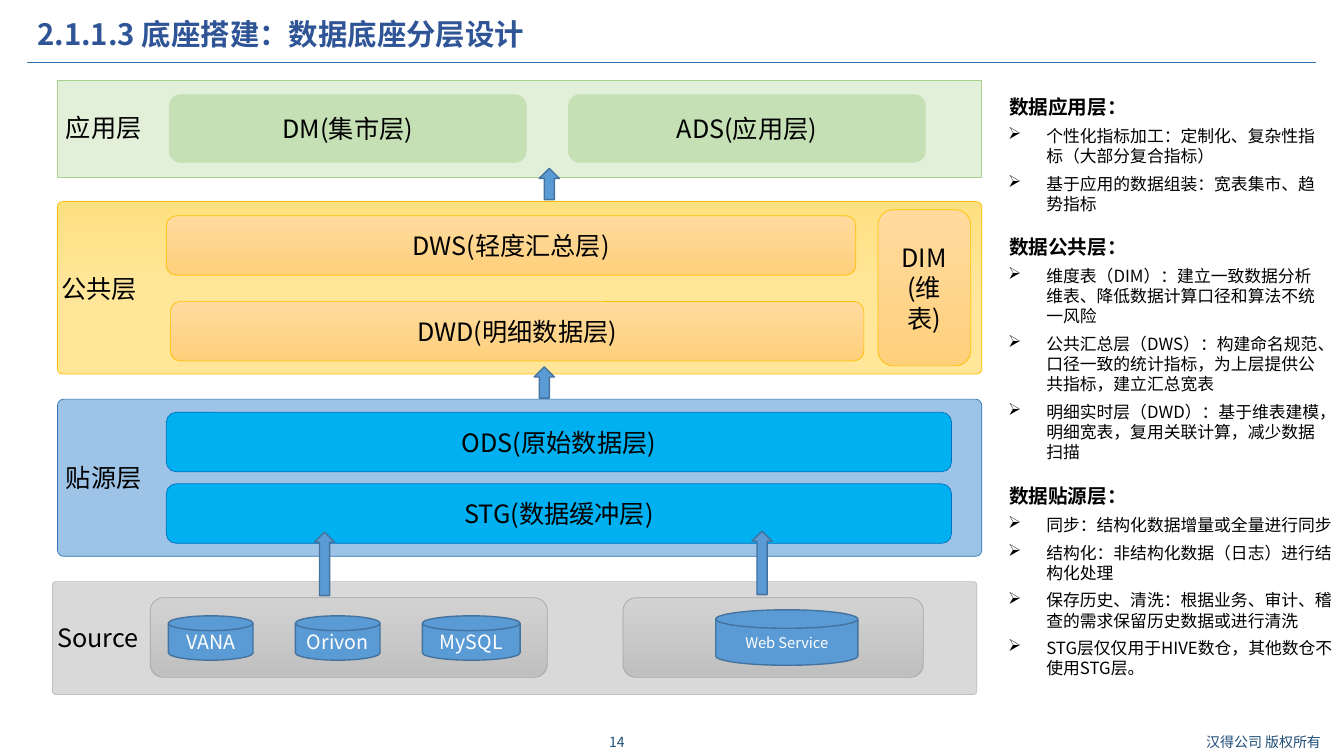
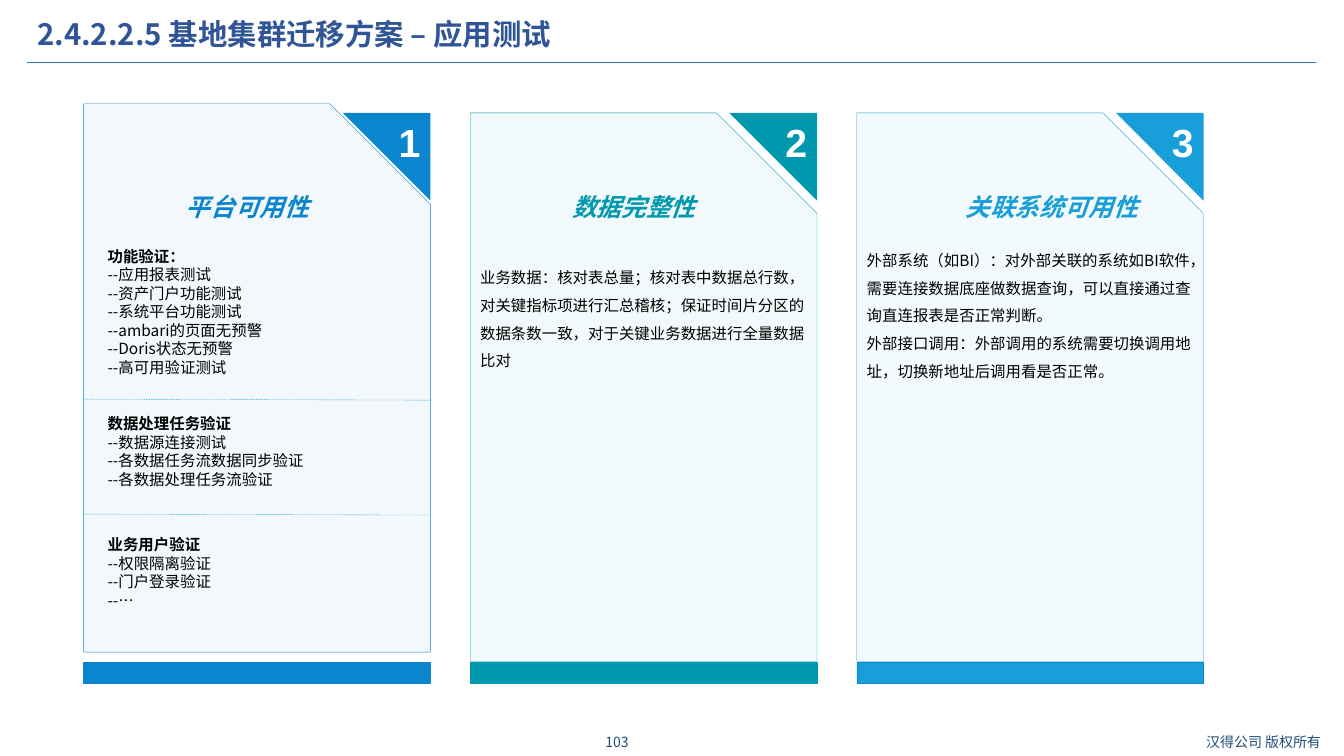
from dataclasses import dataclass

from lxml import etree
from pptx import Presentation
from pptx import util as u
from pptx.dml.color import RGBColor
from pptx.enum import dml, shapes, text
from pptx.oxml import ns

SHAPE = shapes.MSO_SHAPE
ALIGN = text.PP_ALIGN
ANCHOR = text.MSO_ANCHOR


@dataclass(frozen=True)
class Theme:
    font: str = "Noto Sans CJK SC"
    number_font: str = "Arial"
    title: str = "2F5597"
    footer: str = "1F4E79"
    rule: str = "2E75B6"
    ink: str = "000000"
    white: str = "FFFFFF"
    accent: str = "5B9BD5"
    accent_edge: str = "43739E"
    app: str = "E2F0D9"
    app_edge: str = "A9D18E"
    app_tile: str = "C5E0B4"
    common: tuple = ("FFE080", "FFE699", 0.5)
    common_tile: tuple = ("FFDB9E", "FFD07C", 1)
    common_edge: str = "FFC000"
    origin: str = "9DC3E6"
    origin_tile: str = "00B0F0"
    origin_edge: str = "0070C0"
    source: str = "D9D9D9"
    source_edge: str = "BFBFBF"
    source_tile: tuple = ("D2D2D2", "C0C0C0", 1)
    source_tile_edge: str = "A5A5A5"
    blue: str = "0C85CF"
    teal: str = "0098AD"
    sky: str = "189ED9"
    title_size: float = 21
    label_size: float = 18
    card_title_size: float = 17.6
    heading_size: float = 14
    note_size: float = 12
    body_size: float = 11
    small_size: float = 10.5
    footer_size: float = 10
    number_size: float = 28


THEME = Theme()
COLUMNS, ROWS = 133.33, 75
WIDTH, HEIGHT = u.Inches(13.33), u.Inches(7.5)


def col(count):
    return int(WIDTH * count / COLUMNS)


def row(count):
    return int(HEIGHT * count / ROWS)


def place(left, top, width, height):
    return col(left), row(top), col(width), row(height)


def apply(target, values):
    for name, value in values.items():
        setattr(target, name, value)


def add_xml(parent, tag, **values):
    return etree.SubElement(parent, ns.qn(tag), values)


def write(frame, lines, para_format=None, **common):
    for index, line in enumerate(lines):
        words, changes = line if isinstance(line, tuple) else (line, {})
        style = {"size": THEME.body_size, "color": THEME.ink,
                 "name": THEME.font, **common, **changes}
        para = frame.paragraphs[0] if index == 0 else frame.add_paragraph()
        indent = style.pop("indent", None)
        if indent:
            props = para._p.get_or_add_pPr()
            apply_indent = {"marL": col(indent[0]), "indent": col(indent[1])}
            for name, value in apply_indent.items():
                props.set(name, str(value))
        bullet = style.pop("bullet", None)
        if bullet:
            add_xml(add_xml(props, "a:buClr"), "a:srgbClr", val=style["color"])
            add_xml(props, "a:buChar", char=bullet)
        space = style.pop("space", None)
        if space and index:
            para.space_before = u.Pt(space)
        apply(para, para_format or {})
        span = para.add_run()
        span.text = words
        span.font.color.rgb = RGBColor.from_string(style.pop("color"))
        style["size"] = u.Pt(style["size"])
        apply(span.font, style)
        add_xml(span._r.get_or_add_rPr(), "a:ea", typeface=style["name"])


def add_text(page, area, lines, para_format=None, frame_format=None, **style):
    frame = page.shapes.add_textbox(*place(*area)).text_frame
    apply(frame, {"word_wrap": True, **(frame_format or {})})
    write(frame, lines, para_format, **style)


def paint(shape, fill, edge=None, weight=0.5, alpha=None):
    shape.shadow.inherit = False
    if isinstance(fill, tuple):
        shape.fill.gradient()
        shape.fill.gradient_angle = 270
        for stop, color, position in zip(shape.fill.gradient_stops, fill, (0, fill[2])):
            stop.color.rgb = RGBColor.from_string(color)
            stop.position = position
    else:
        shape.fill.solid()
        shape.fill.fore_color.rgb = RGBColor.from_string(fill)
    if alpha:
        color = shape._element.spPr.find(ns.qn("a:solidFill")).find(ns.qn("a:srgbClr"))
        add_xml(color, "a:alpha", val=str(alpha * 1000))
    if edge:
        shape.line.color.rgb = RGBColor.from_string(edge)
        shape.line.width = u.Pt(weight)
    else:
        shape.line.fill.background()


def add_box(page, kind, area, fill, edge, lines=(), adjust=None, weight=0.5,
            alpha=None, wrap=True, **style):
    box = page.shapes.add_shape(kind, *place(*area))
    paint(box, fill, edge, weight, alpha)
    if adjust is not None:
        box.adjustments[0] = adjust
    apply(box.text_frame, {"word_wrap": wrap, "vertical_anchor": ANCHOR.MIDDLE})
    write(box.text_frame, lines, {"alignment": ALIGN.CENTER}, **style)


def add_tile(page, area, fill, edge, *lines):
    add_box(page, SHAPE.ROUNDED_RECTANGLE, area, fill, edge, lines,
            size=THEME.label_size)


def add_layer(page, area, fill, edge, adjust, label, label_at):
    add_box(page, SHAPE.ROUNDED_RECTANGLE, area, fill, edge, adjust=adjust)
    add_text(page, (*label_at, 14, 4), [label], size=THEME.label_size)


def add_disk(page, area, label, size):
    add_box(page, SHAPE.FLOWCHART_MAGNETIC_DISK, area, THEME.accent,
            THEME.accent_edge, [label], weight=1, wrap=False,
            size=size, color=THEME.white)


def add_line(page, start, end, color, weight, dash=None):
    line = page.shapes.add_connector(
        shapes.MSO_CONNECTOR.STRAIGHT, col(start[0]), row(start[1]),
        col(end[0]), row(end[1]))
    line.line.color.rgb = RGBColor.from_string(color)
    apply(line.line, {"width": u.Pt(weight), "dash_style": dash})
    add_xml(line._element.spPr, "a:effectLst")


def add_page(deck, title, number):
    page = deck.slides.add_slide(deck.slide_layouts[6])
    add_line(page, (2.7, 6.2), (130.6, 6.2), THEME.rule, 0.75)
    add_text(page, (2.7, 1.5, 115.7, 4.2), [title], {"line_spacing": 0.9},
             size=THEME.title_size, color=THEME.title, bold=True)
    for left, width, words in ((57.7, 7, number), (117.4, 15.9, "汉得公司 版权所有")):
        add_text(page, (left, 72.3, width, 2.7), [words],
                 {"alignment": ALIGN.CENTER}, {"vertical_anchor": ANCHOR.MIDDLE},
                 size=THEME.footer_size, color=THEME.footer)
    return page


def add_notes_column(page, top, width, height, heading, points):
    lines = [(heading, {"size": THEME.heading_size, "bold": True, "indent": (0.2, 0)})]
    lines += [(point, {"indent": (3.9, -3.8), "bullet": "➢"}) for point in points]
    margins = dict.fromkeys(
        ("margin_left", "margin_top", "margin_right", "margin_bottom"), 0)
    add_text(page, (99.9, top, width, height), lines, frame_format=margins,
             size=THEME.note_size, space=5.3)


def build_layers(deck):
    page = add_page(deck, "2.1.1.3 底座搭建：数据底座分层设计", "14")
    t = THEME
    add_layer(page, (5.7, 8, 91.7, 9.6), t.app, t.app_edge, 0, "应用层", (5.55, 10.7))
    for left, label in ((16.8, "DM(集市层)"), (56.4, "ADS(应用层)")):
        add_tile(page, (left, 9.4, 35.4, 6.7), t.app_tile, t.app_tile, label)

    add_layer(page, (5.2, 57.7, 91.7, 11.2), t.source, t.source_edge, 0.03,
              "Source", (4.7, 61.2))
    for left, width in ((14.9, 39.4), (61.8, 29.8)):
        add_tile(page, (left, 59.3, width, 7.9), t.source_tile, t.source_tile_edge)
    for index, (label, width) in enumerate((("VANA", 8.4), ("Orivon", 8.4), ("MySQL", 9.7))):
        add_disk(page, (16.7 + 12.6 * index, 61.1, width, 4.4), label, t.heading_size)
    add_disk(page, (71, 60.5, 14.1, 5.5), "Web Service", t.small_size)

    add_layer(page, (5.7, 20, 91.7, 17.1), t.common, t.common_edge, 0.03,
              "公共层", (5.1, 26.6))
    for area, lines in (
            ((16.9, 29.9, 68.8, 5.9), ["DWD(明细数据层)"]),
            ((87.1, 20.8, 9.2, 15.5), ["DIM", "(维表)"]),
            ((16.5, 21.4, 68.4, 5.9), ["DWS(轻度汇总层)"])):
        add_tile(page, area, t.common_tile, t.common_edge, *lines)

    add_layer(page, (5.7, 39.6, 91.7, 15.6), t.origin, t.rule, 0.04,
              "贴源层", (5.55, 45.4))
    for top, label in ((40.9, "ODS(原始数据层)"), (48, "STG(数据缓冲层)")):
        add_tile(page, (16.5, top, 77.9, 5.9), t.origin_tile, t.origin_edge, label)

    for left, top, height in ((53.5, 16.7, 3.1), (53, 36.4, 3.1),
                              (31.2, 52.8, 6.3), (74.6, 52.7, 6.3)):
        add_box(page, SHAPE.UP_ARROW, (left, top, 2, height), t.accent,
                t.accent_edge, weight=1)

    add_notes_column(page, 9.4, 31.5, 11.8, "数据应用层：", [
        "个性化指标加工：定制化、复杂性指标（大部分复合指标）",
        "基于应用的数据组装：宽表集市、趋势指标"])
    add_notes_column(page, 23.3, 31.5, 22.6, "数据公共层：", [
        "维度表（DIM）：建立一致数据分析维表、降低数据计算口径和算法不统一风险",
        "公共汇总层（DWS）：构建命名规范、口径一致的统计指标，为上层提供公共指标，建立汇总宽表",
        "明细实时层（DWD）：基于维表建模，明细宽表，复用关联计算，减少数据扫描"])
    add_notes_column(page, 48, 32.6, 19.5, "数据贴源层：", [
        "同步：结构化数据增量或全量进行同步",
        "结构化：非结构化数据（日志）进行结构化处理",
        "保存历史、清洗：根据业务、审计、稽查的需求保留历史数据或进行清洗",
        "STG层仅仅用于HIVE数仓，其他数仓不使用STG层。"])


CARD_LEFT, CARD_STEP, CARD_WIDTH, CARD_TOP = 8.3, 38.35, 34.4, 11.2
CORNER = 8.7


def add_card(page, index, title, color, edge, top, title_shift):
    left = CARD_LEFT + CARD_STEP * index
    right = left + CARD_WIDTH
    add_box(page, SHAPE.SNIP_1_RECTANGLE, (left, top, CARD_WIDTH, 54.4), color, color,
            adjust=0.29, weight=0.25, alpha=5)
    add_box(page, SHAPE.RECTANGLE, (left, 65.7, CARD_WIDTH, 2.1), color, edge, weight=0.25)
    outline = page.shapes.build_freeform(col(right), row(CARD_TOP))
    outline.add_line_segments([(col(right - CORNER), row(CARD_TOP)),
                               (col(right), row(CARD_TOP + CORNER))], close=True)
    corner = outline.convert_to_shape()
    paint(corner, color)
    corner.text_frame.vertical_anchor = ANCHOR.TOP
    write(corner.text_frame, [str(index + 1)], {"alignment": ALIGN.RIGHT},
          size=THEME.number_size, color=THEME.white, name=THEME.number_font, bold=True)
    add_text(page, (left + title_shift, 18.3, 24.1, 4.5), [title],
             {"alignment": ALIGN.CENTER}, {"vertical_anchor": ANCHOR.MIDDLE},
             size=THEME.card_title_size, color=color, bold=True, italic=True)


def build_tests(deck):
    page = add_page(deck, "2.4.2.2.5 基地集群迁移方案 – 应用测试", "103")
    cards = (("平台可用性", THEME.blue, THEME.blue, 10.3, 4.2),
             ("数据完整性", THEME.teal, THEME.teal, CARD_TOP, 4.2),
             ("关联系统可用性", THEME.sky, THEME.blue, CARD_TOP, 7.3))
    for index, card in enumerate(cards):
        add_card(page, index, *card)

    for top, heading, checks in (
            (24, "功能验证：", ["--应用报表测试", "--资产门户功能测试", "--系统平台功能测试",
                            "--ambari的页面无预警", "--Doris状态无预警", "--高可用验证测试"]),
            (40.6, "数据处理任务验证", ["--数据源连接测试", "--各数据任务流数据同步验证",
                                "--各数据处理任务流验证"]),
            (52.6, "业务用户验证", ["--权限隔离验证", "--门户登录验证", "--…"])):
        add_text(page, (9.7, top, 32, 1.8 * len(checks) + 2.8),
                 [(heading, {"bold": True}), *checks])
    for top in (39.6, 51):
        add_line(page, (CARD_LEFT, top), (CARD_LEFT + CARD_WIDTH, top + 0.1),
                 THEME.sky, 0.25, dml.MSO_LINE.DASH)

    for index, top, lines in (
            (1, 25.2, ["业务数据：核对表总量；核对表中数据总行数，对关键指标项进行汇总稽核；"
                       "保证时间片分区的数据条数一致，对于关键业务数据进行全量数据比对"]),
            (2, 23.5, ["外部系统（如BI）：对外部关联的系统如BI软件，需要连接数据底座做数据查询，"
                       "可以直接通过查询直连报表是否正常判断。",
                       "外部接口调用：外部调用的系统需要切换调用地址，切换新地址后调用看是否正常。"])):
        add_text(page, (CARD_LEFT + CARD_STEP * index, top, CARD_WIDTH, 17), lines,
                 {"line_spacing": 1.5}, {"margin_bottom": 0})


def main():
    deck = Presentation()
    apply(deck, {"slide_width": WIDTH, "slide_height": HEIGHT})
    build_layers(deck)
    build_tests(deck)
    deck.save("out.pptx")


if __name__ == "__main__":
    main()
